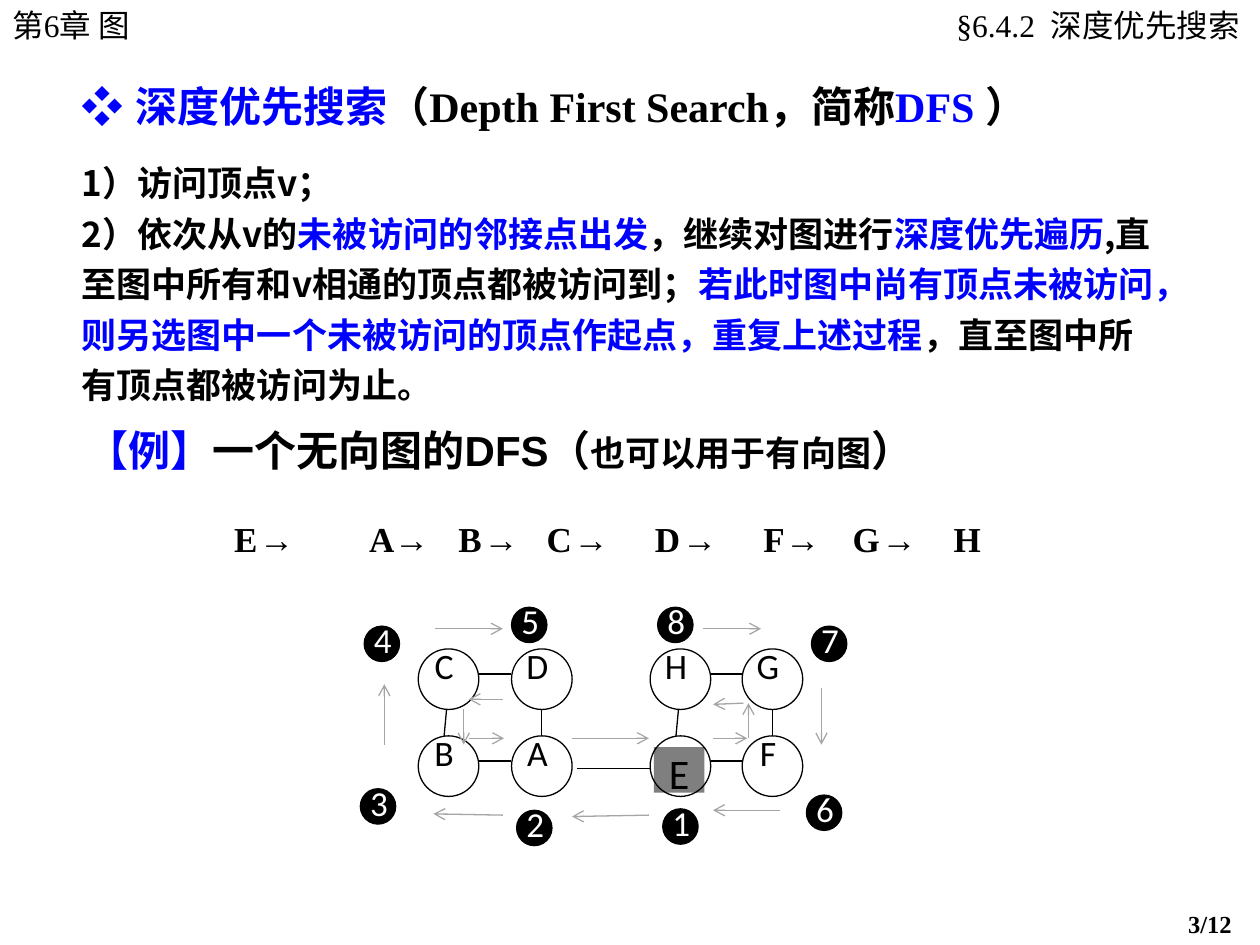
from dataclasses import dataclass
from typing import Optional

import pptx
import pptx.dml.color
import pptx.enum.shapes
import pptx.enum.text
import pptx.oxml.ns
import pptx.util
from lxml import etree

Pt = pptx.util.Pt
qn = pptx.oxml.ns.qn
SHAPES = pptx.enum.shapes.MSO_SHAPE
ALIGN = pptx.enum.text.PP_ALIGN


@dataclass(frozen=True)
class Theme:
    ink: str = "000000"
    paper: str = "FFFFFF"
    accent: str = "0000FF"
    arrow: str = "A5A5A5"
    start: str = "7F7F7F"
    serif: str = "Times New Roman"
    sans: str = "Arial"
    label: str = "Calibri"
    mono: str = "Courier New"
    chinese: str = "Noto Sans CJK SC"
    heading: float = 24
    body: float = 20
    node: float = 20.4
    header: float = 18
    footer: float = 14
    line: float = 0.75


THEME = Theme()


@dataclass(frozen=True)
class Box:
    left: float
    top: float
    width: float
    height: float


@dataclass(frozen=True)
class Span:
    text: str
    color: str = THEME.ink
    font: Optional[str] = None
    size: Optional[float] = None


@dataclass(frozen=True)
class Style:
    font: str
    size: float
    bold: bool = False
    align: Optional[ALIGN] = None
    before: float = 0
    spacing: Optional[float] = None
    insets: tuple[float, float] = (7.2, 7.2)
    pad: float = 3.6
    grow: bool = True


@dataclass(frozen=True)
class Node:
    letter: str
    column: int
    row: int


@dataclass(frozen=True)
class Badge:
    left: float
    top: float


@dataclass(frozen=True)
class Segment:
    x1: float
    y1: float
    x2: float
    y2: float


def rgb(color: str) -> pptx.dml.color.RGBColor:
    return pptx.dml.color.RGBColor.from_string(color)


def set_east_asian(properties, font: str) -> None:
    etree.SubElement(properties, qn("a:ea")).set("typeface", font)


def write(shape, spans: list[Span], style: Style) -> None:
    """Fill a shape with one paragraph; a newline in a span is a line break."""
    frame = shape.text_frame
    frame.word_wrap = True
    sizing = pptx.enum.text.MSO_AUTO_SIZE
    frame.auto_size = sizing.SHAPE_TO_FIT_TEXT if style.grow else sizing.NONE
    frame.vertical_anchor = pptx.enum.text.MSO_ANCHOR.TOP
    frame.margin_left, frame.margin_right = map(Pt, style.insets)
    frame.margin_top = frame.margin_bottom = Pt(style.pad)
    para = frame.paragraphs[0]
    para.alignment = style.align
    para.space_before = Pt(style.before)
    para.line_spacing = style.spacing
    para.font.name, para.font.size, para.font.bold = style.font, Pt(style.size), style.bold
    set_east_asian(para._p.pPr.find(qn("a:defRPr")), THEME.chinese)
    for span in spans:
        for index, line in enumerate(span.text.split("\n")):
            if index:
                para.add_line_break()
            run = para.add_run()
            run.text = line
            run.font.color.rgb = rgb(span.color)
            if span.size:
                run.font.size = Pt(span.size)
            if span.font:
                run.font.name = span.font
                set_east_asian(run._r.rPr, span.font)


def add_text(page, box: Box, spans: list[Span], style: Style) -> None:
    shape = page.shapes.add_textbox(Pt(box.left), Pt(box.top), Pt(box.width), Pt(box.height))
    write(shape, spans, style)


def add_shape(page, kind: SHAPES, box: Box, fill: Optional[str], line: Optional[str]):
    shape = page.shapes.add_shape(kind, Pt(box.left), Pt(box.top), Pt(box.width), Pt(box.height))
    shape.shadow.inherit = False
    for part, color in ((shape.fill, fill), (shape.line.fill, line)):
        if color:
            part.solid()
            part.fore_color.rgb = rgb(color)
        else:
            part.background()
    if line:
        shape.line.width = Pt(THEME.line)
    return shape


def add_line(page, segment: Segment, color: str, arrow: bool = False) -> None:
    line = page.shapes.add_connector(
        pptx.enum.shapes.MSO_CONNECTOR.STRAIGHT,
        Pt(segment.x1), Pt(segment.y1), Pt(segment.x2), Pt(segment.y2))
    line.line.color.rgb = rgb(color)
    line.line.width = Pt(THEME.line)
    if arrow:
        etree.SubElement(line.line._get_or_add_ln(), qn("a:tailEnd")).set("type", "arrow")
    etree.SubElement(line._element.spPr, qn("a:effectLst"))


COLUMNS, ROWS, CIRCLE = (239, 292.3, 371.5, 424.1), (370.8, 420.5), 34.6
NODES = [Node(letter, column, row)
         for row, letters in enumerate(("CDHG", "BAEF"))
         for column, letter in enumerate(letters)]
BADGES = [Badge(378.7, 462.2), Badge(295.2, 463), Badge(205.9, 450.7), Badge(208.1, 357.8),
          Badge(292.3, 347), Badge(460.8, 454.3), Badge(463.7, 357.8), Badge(375.8, 347)]
ARROWS = [Segment(*ends) for ends in (
    (370.8, 465.8, 326.9, 466.6), (265, 405.4, 265, 425.5), (326.9, 421.9, 370.8, 421.9),
    (424.8, 401.8, 407.5, 402.5), (445.7, 463, 407.5, 463), (267.8, 421.9, 288, 421.9),
    (219.6, 425.5, 219.6, 391), (287.3, 465.8, 247.7, 465.1), (427.7, 421.9, 427.7, 401.8),
    (469.4, 393.1, 469.4, 425.5), (248.4, 359.3, 287.3, 359.3), (287.3, 399.6, 267.8, 399.6),
    (401.8, 359.3, 434.9, 359.3), (407.5, 421.9, 427, 421.9))]
VISITS = {"E": 126.7, "A": 203.8, "B": 254.9, "C": 305.3,
          "D": 367.2, "F": 429.1, "G": 480.2, "H": 537.8}


def graph_edges() -> list[Segment]:
    """Edges of both squares, then the bridge between A and E."""
    edges = []
    for left, right in (COLUMNS[:2], COLUMNS[2:]):
        edges += [Segment(left + CIRCLE, row + 14.4, right, row + 14.4) for row in ROWS]
        top = ROWS[0] + CIRCLE
        edges.append(Segment(left + 16.2, top, left + 14.8, ROWS[1]))
        edges.append(Segment(right + CIRCLE / 2, top, right + CIRCLE / 2, ROWS[1]))
    return edges + [Segment(329.8, 439.2, COLUMNS[2], 439.2)]


def add_node(page, node: Node) -> None:
    left, top = COLUMNS[node.column], ROWS[node.row]
    is_start = node.letter == "E"
    label = Box(left + 2.2, top + 6.5, 28.8, 25.9) if is_start else Box(left, top, 29.5, 25.9)
    tile = add_shape(page, SHAPES.RECTANGLE, label, THEME.start if is_start else THEME.paper, None)
    write(tile, [Span(node.letter)], Style(
        THEME.label, THEME.heading if is_start else THEME.node, align=ALIGN.CENTER,
        spacing=None if is_start else 0.9, insets=(0, 0), pad=0, grow=False))
    add_shape(page, SHAPES.OVAL, Box(left, top, CIRCLE, CIRCLE), None, THEME.ink)


def add_badge(page, number: int, badge: Badge) -> None:
    add_shape(page, SHAPES.OVAL, Box(badge.left, badge.top, 20.2, 20.2), THEME.ink, THEME.ink)
    add_text(page, Box(badge.left + 5.6, badge.top - 4.3, 17.3, 25.2),
             [Span(str(number), THEME.paper)],
             Style(THEME.label, THEME.body, align=ALIGN.JUSTIFY, insets=(0, 0), pad=0, grow=False))


def add_wording(page) -> None:
    blue = THEME.accent
    add_text(page, Box(0, 0, 125.3, 28.8), [Span("第6章 图")],
             Style(THEME.serif, THEME.header, before=11.2))
    add_text(page, Box(495.4, 0, 224.6, 28.8), [Span("§6.4.2  深度优先搜索")],
             Style(THEME.serif, THEME.header, align=ALIGN.RIGHT, before=11.2, insets=(8.6, 11.5)))
    add_text(page, Box(39.6, 42.5, 630, 36), [
        Span("❖ ", blue, THEME.sans), Span("深度优先搜索", blue),
        Span("（Depth First Search，简称"), Span("DFS ", blue), Span("）"),
    ], Style(THEME.serif, THEME.heading, bold=True))
    add_text(page, Box(39.6, 84.2, 630, 151.2), [
        Span("1）访问顶点v；\n2）依次从v的"), Span("未被访问的邻接点出发", blue),
        Span("，继续对图进行"), Span("深度优先遍历", blue),
        Span(",直至图中所有和v相通的顶点都被访问到；"),
        Span("若此时图中尚有顶点未被访问，则另选图中一个未被访问的顶点作起点，重复上述过程", blue),
        Span("，直至图中所有顶点都被访问为止。"),
    ], Style(THEME.chinese, THEME.body, bold=True, before=5, spacing=1.2))
    add_text(page, Box(42.5, 239, 585.4, 36), [
        Span("【例】", blue), Span("一个无向图的DFS（"),
        Span("也可以用于有向图", size=THEME.body), Span("）"),
    ], Style(THEME.sans, THEME.heading, bold=True, before=15))
    add_text(page, Box(671.8, 516.2, 48.2, 24.5), [Span("3/12")],
             Style(THEME.serif, THEME.footer, bold=True, before=8.8))


def add_visit_order(page) -> None:
    style = Style(THEME.serif, THEME.body, bold=True)
    for letter, left in VISITS.items():
        is_last = letter == "H"
        spans = [Span(letter)] if is_last else [Span(letter + " "), Span("→", font=THEME.mono)]
        add_text(page, Box(left, 292.3, 32 if is_last else 50, 31.7), spans, style)


def main() -> None:
    deck = pptx.Presentation()
    deck.slide_width, deck.slide_height = Pt(720), Pt(540)
    page = deck.slides.add_slide(deck.slide_layouts[6])
    add_wording(page)
    for edge in graph_edges():
        add_line(page, edge, THEME.ink)
    for node in NODES:
        add_node(page, node)
    for number, badge in enumerate(BADGES, start=1):
        add_badge(page, number, badge)
    for arrow in ARROWS:
        add_line(page, arrow, THEME.arrow, arrow=True)
    add_visit_order(page)
    deck.save("out.pptx")


if __name__ == "__main__":
    main()
